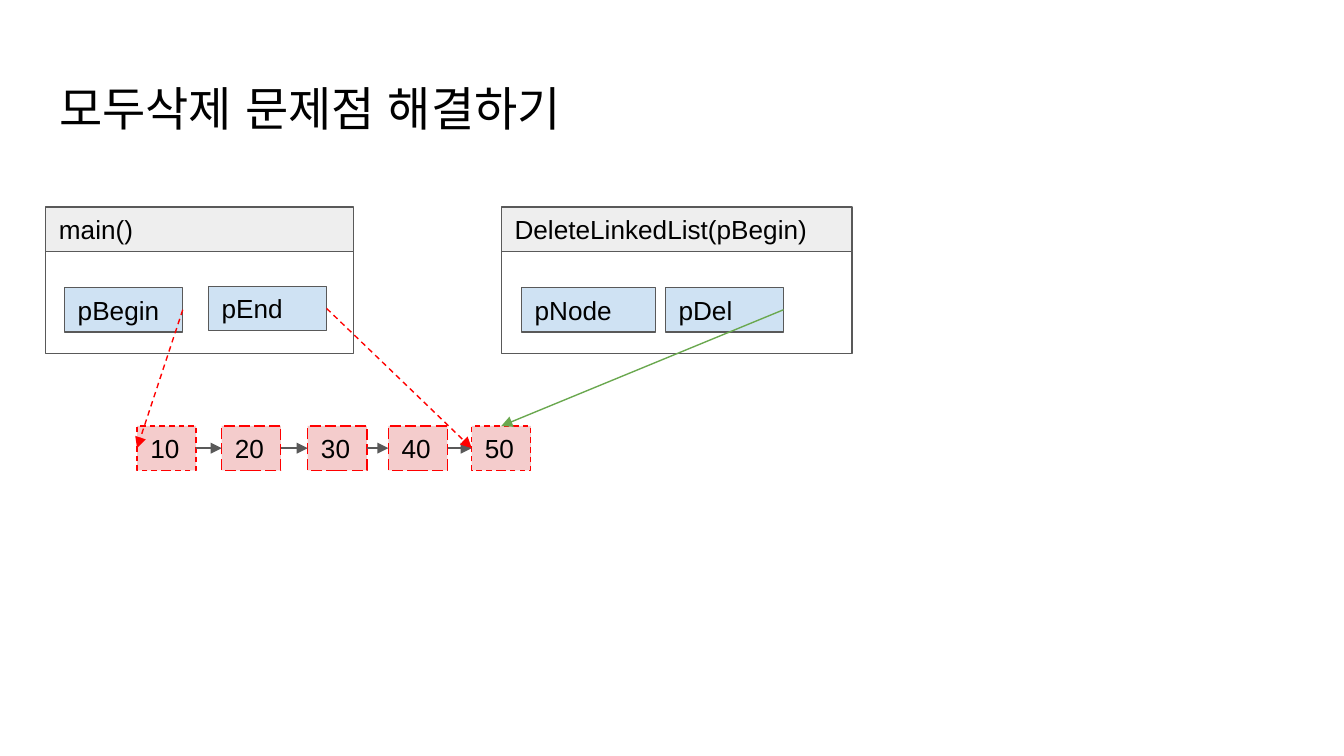
from dataclasses import dataclass
from itertools import pairwise

from lxml import etree
from pptx import Presentation
from pptx.dml.color import RGBColor
from pptx.enum.dml import MSO_LINE
from pptx.enum.shapes import MSO_CONNECTOR, MSO_SHAPE
from pptx.enum.text import MSO_ANCHOR, MSO_AUTO_SIZE, PP_ALIGN
from pptx.oxml.ns import qn
from pptx.util import Inches, Pt

RECTANGLE = MSO_SHAPE.RECTANGLE
STRAIGHT = MSO_CONNECTOR.STRAIGHT
DASH, LONG_DASH = MSO_LINE.DASH, MSO_LINE.LONG_DASH
MIDDLE, LEFT_ALIGN, NO_FIT = MSO_ANCHOR.MIDDLE, PP_ALIGN.LEFT, MSO_AUTO_SIZE.NONE
TOP, LEFT, RIGHT = 0, 1, 3
TITLE_ONLY = 5


@dataclass(frozen=True)
class Theme:
    """Hold the colours, font and sizes of the deck."""
    font: str = "Arial"
    title_size: float = 25.2
    label_size: float = 14
    line_width: float = 0.75
    inset: float = 0.1
    text: str = "000000"
    white: str = "FFFFFF"
    header: str = "EEEEEE"
    outline: str = "595959"
    variable: str = "CFE2F3"
    node: str = "F4CCCC"
    deleted: str = "FF0000"
    current: str = "6AA84F"


THEME = Theme()


def write_text(shape, text, size):
    """Write one left-aligned run in the middle of a shape."""
    frame = shape.text_frame
    frame.word_wrap = True
    frame.auto_size = NO_FIT
    frame.vertical_anchor = MIDDLE
    frame.margin_left = frame.margin_right = Inches(THEME.inset)
    frame.margin_top = frame.margin_bottom = Inches(THEME.inset)
    para = frame.paragraphs[0]
    para.alignment = LEFT_ALIGN
    span = para.add_run()
    span.text = text
    span.font.name = THEME.font
    span.font.size = Pt(size)
    span.font.color.rgb = RGBColor.from_string(THEME.text)
    etree.SubElement(span._r.get_or_add_rPr(), qn("a:ea"), typeface=THEME.font)


def style_line(line, colour, dash=None):
    """Set the colour, width and dash of a line."""
    line.color.rgb = RGBColor.from_string(colour)
    line.width = Pt(THEME.line_width)
    if dash:
        line.dash_style = dash


def add_box(shapes, bounds, fill, text="", outline=THEME.outline, dash=None):
    """Add a filled rectangle with an optional label."""
    box = shapes.add_shape(RECTANGLE, *map(Inches, bounds))
    box.shadow.inherit = False
    box.fill.solid()
    box.fill.fore_color.rgb = RGBColor.from_string(fill)
    style_line(box.line, outline, dash)
    if text:
        write_text(box, text, THEME.label_size)
    return box


def add_arrow(page, start, end, colour, end_side=LEFT, dash=None):
    """Join the right side of one box to a side of another."""
    arrow = page.shapes.add_connector(STRAIGHT, 0, 0, 0, 0)
    arrow.begin_connect(start, RIGHT)
    arrow.end_connect(end, end_side)
    style_line(arrow.line, colour, dash)
    line_xml = arrow.line._get_or_add_ln()
    etree.SubElement(line_xml, qn("a:tailEnd"), type="triangle")
    etree.SubElement(arrow._element.spPr, qn("a:effectLst"))


def add_title(page, bounds, text):
    """Place and fill the title placeholder."""
    title = page.shapes.title
    title.left, title.top, title.width, title.height = map(Inches, bounds)
    write_text(title, text, THEME.title_size)


def add_function(page, bounds, name, variables):
    """Draw a function frame and return its variable boxes by name."""
    left, top, width, height = bounds
    header = 0.33
    shapes = page.shapes.add_group_shape().shapes
    add_box(shapes, (left, top, width, header), THEME.header, name)
    add_box(shapes, (left, top + header, width, height - header), THEME.white)
    return {
        label: add_box(shapes, (left + x, top + y, wide, 0.33), THEME.variable, label)
        for label, x, y, wide in variables
    }


def add_linked_list(page, bounds, values, offsets):
    """Draw the row of deleted nodes with arrows between neighbours."""
    left, top, width, height = bounds
    nodes = []
    for value, offset in zip(values, offsets):
        is_end = value in (values[0], values[-1])
        nodes.append(add_box(
            page.shapes, (left + offset, top, width - offsets[-1], height),
            THEME.node, value, THEME.deleted, DASH if is_end else LONG_DASH))
    for start, end in pairwise(nodes):
        add_arrow(page, start, end, THEME.outline)
    return nodes


def add_list_slide(deck):
    """Build the slide about deleting every node."""
    page = deck.slides.add_slide(deck.slide_layouts[TITLE_ONLY])
    add_title(page, (0.34, 0.49, 9.32, 0.63), "모두삭제 문제점 해결하기")
    caller = add_function(page, (0.34, 1.54, 2.29, 1.09), "main()", [
        ("pBegin", 0.14, 0.6, 0.88), ("pEnd", 1.21, 0.59, 0.88)])
    callee = add_function(
        page, (3.73, 1.54, 2.61, 1.09), "DeleteLinkedList(pBegin)",
        [("pNode", 0.15, 0.6, 1), ("pDel", 1.22, 0.6, 0.88)])
    nodes = add_linked_list(
        page, (1.02, 3.17, 2.93, 0.33),
        ["10", "20", "30", "40", "50"], [0, 0.63, 1.27, 1.87, 2.49])
    add_arrow(page, caller["pBegin"], nodes[0], THEME.deleted, dash=DASH)
    add_arrow(page, caller["pEnd"], nodes[-1], THEME.deleted, dash=DASH)
    add_arrow(page, callee["pDel"], nodes[-1], THEME.current, TOP)


def main():
    """Create and save the deck."""
    deck = Presentation()
    deck.slide_width = Inches(10)
    deck.slide_height = deck.slide_width * 9 // 16
    add_list_slide(deck)
    deck.save("out.pptx")


if __name__ == "__main__":
    main()
